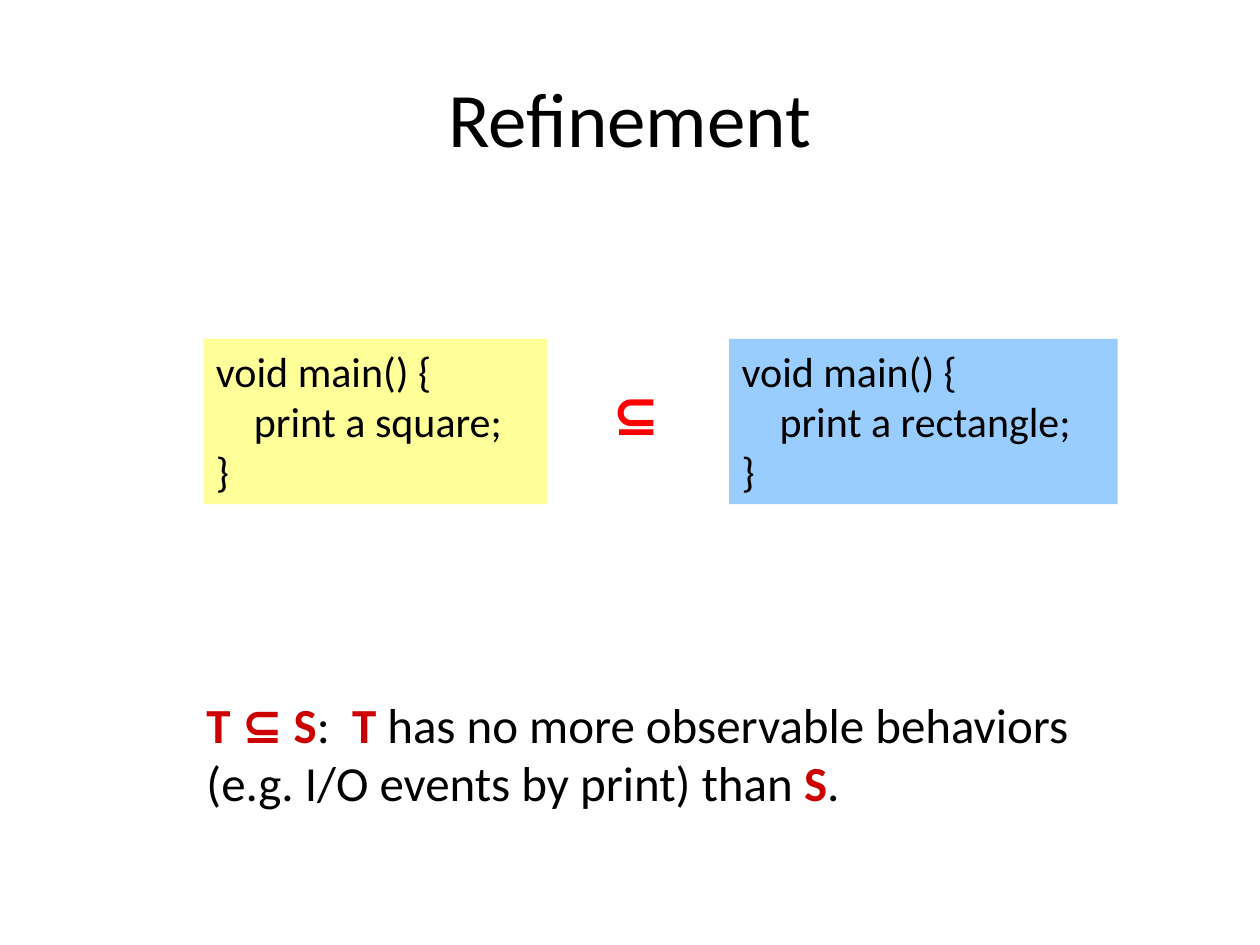
"""Build the slide that explains refinement between two programs."""
from typing import NamedTuple, Optional

from pptx import Presentation
from pptx.dml.color import RGBColor
from pptx.enum.text import MSO_ANCHOR, PP_ALIGN
from pptx.util import Pt

BLACK = "000000"
RED = "FF0000"
DARK_RED = "CC0000"


class Span(NamedTuple):
    text: str
    color: str = BLACK
    bold: bool = False


class Block(NamedTuple):
    left: float
    top: float
    width: float
    height: float
    size: float
    lines: list[list[Span]]
    fill: Optional[str] = None
    align: PP_ALIGN = PP_ALIGN.LEFT
    anchor: MSO_ANCHOR = MSO_ANCHOR.TOP


def paint(color_format, value: str) -> None:
    color_format.rgb = RGBColor.from_string(value)


def term(text: str) -> Span:
    return Span(text, DARK_RED, True)


def program(left: float, width: float, figure: str, fill: str) -> Block:
    code = ["void main() {", f"    print a {figure};", "}"]
    return Block(left, 193.7, width, 94.5, 24, [[Span(line)] for line in code], fill)


def draw(slide, block: Block) -> None:
    box = slide.shapes.add_textbox(
        Pt(block.left), Pt(block.top), Pt(block.width), Pt(block.height)
    )
    if block.fill:
        box.fill.solid()
        paint(box.fill.fore_color, block.fill)
    frame = box.text_frame
    frame.word_wrap = True
    frame.vertical_anchor = block.anchor
    for index, line in enumerate(block.lines):
        paragraph = frame.add_paragraph() if index else frame.paragraphs[0]
        paragraph.alignment = block.align
        for span in line:
            run = paragraph.add_run()
            run.text = span.text
            run.font.name = "Calibri"
            run.font.size = Pt(block.size)
            run.font.bold = span.bold
            paint(run.font.color, span.color)


def main() -> None:
    presentation = Presentation()
    presentation.slide_width = Pt(720)
    presentation.slide_height = Pt(540)
    slide = presentation.slides.add_slide(presentation.slide_layouts[6])

    title = Block(36, 21.6, 648, 90, 44, [[Span("Refinement")]],
                  align=PP_ALIGN.CENTER, anchor=MSO_ANCHOR.MIDDLE)
    specification = program(416.7, 222, "rectangle", "99CCFF")
    target = program(116.3, 196.5, "square", "FFFF99")
    relation = Block(342.7, 213.1, 37.4, 46.1, 32, [[Span("⊆", RED, True)]])
    definition = Block(110.9, 393.1, 516.2, 74.9, 28, [
        [term("T ⊆ S"), Span(":  "), term("T "),
         Span("has no more observable behaviors")],
        [Span("(e.g. I/O events by print) than "), term("S"), Span(".")],
    ])
    for block in (title, specification, target, relation, definition):
        draw(slide, block)

    presentation.save("out.pptx")


if __name__ == "__main__":
    main()
